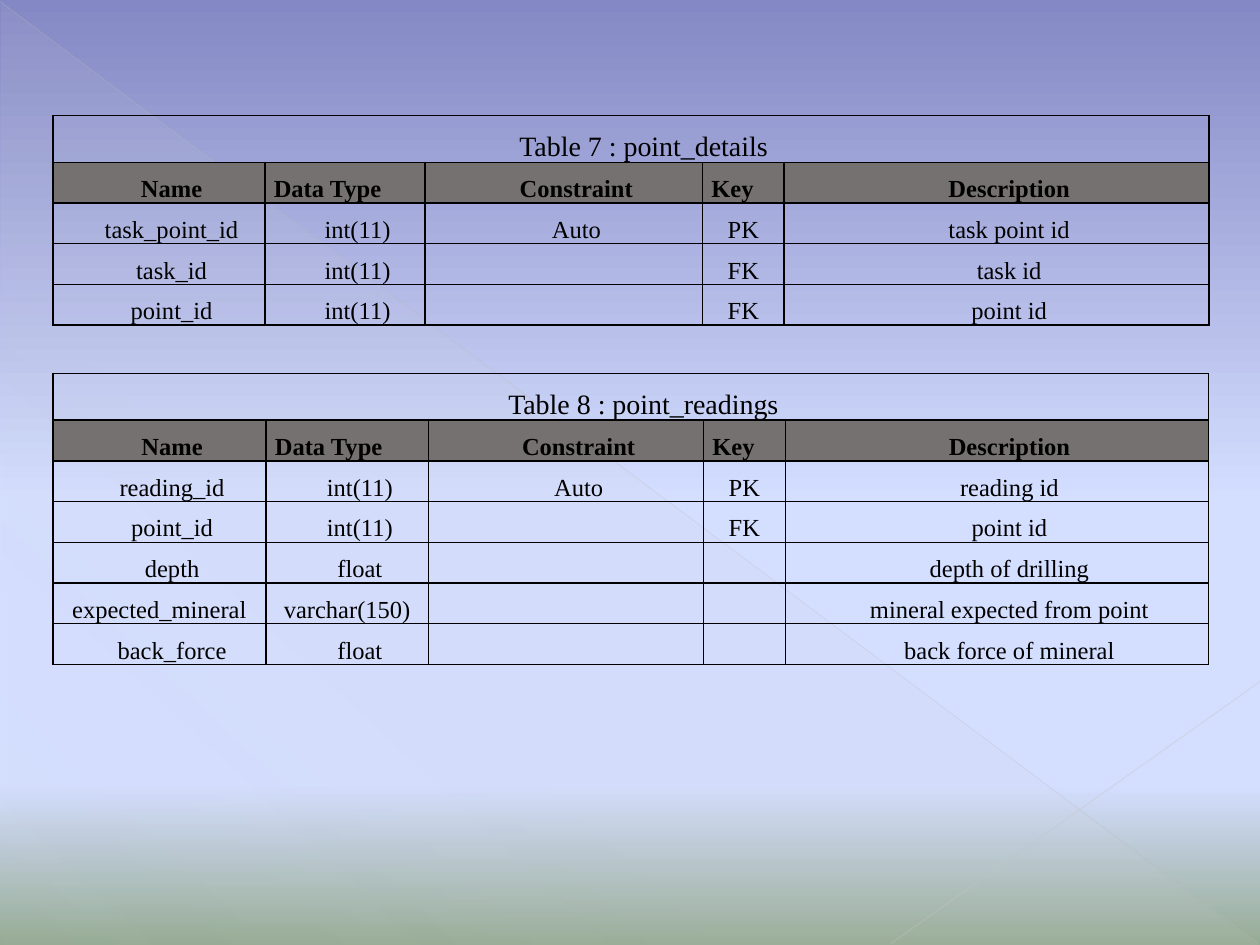
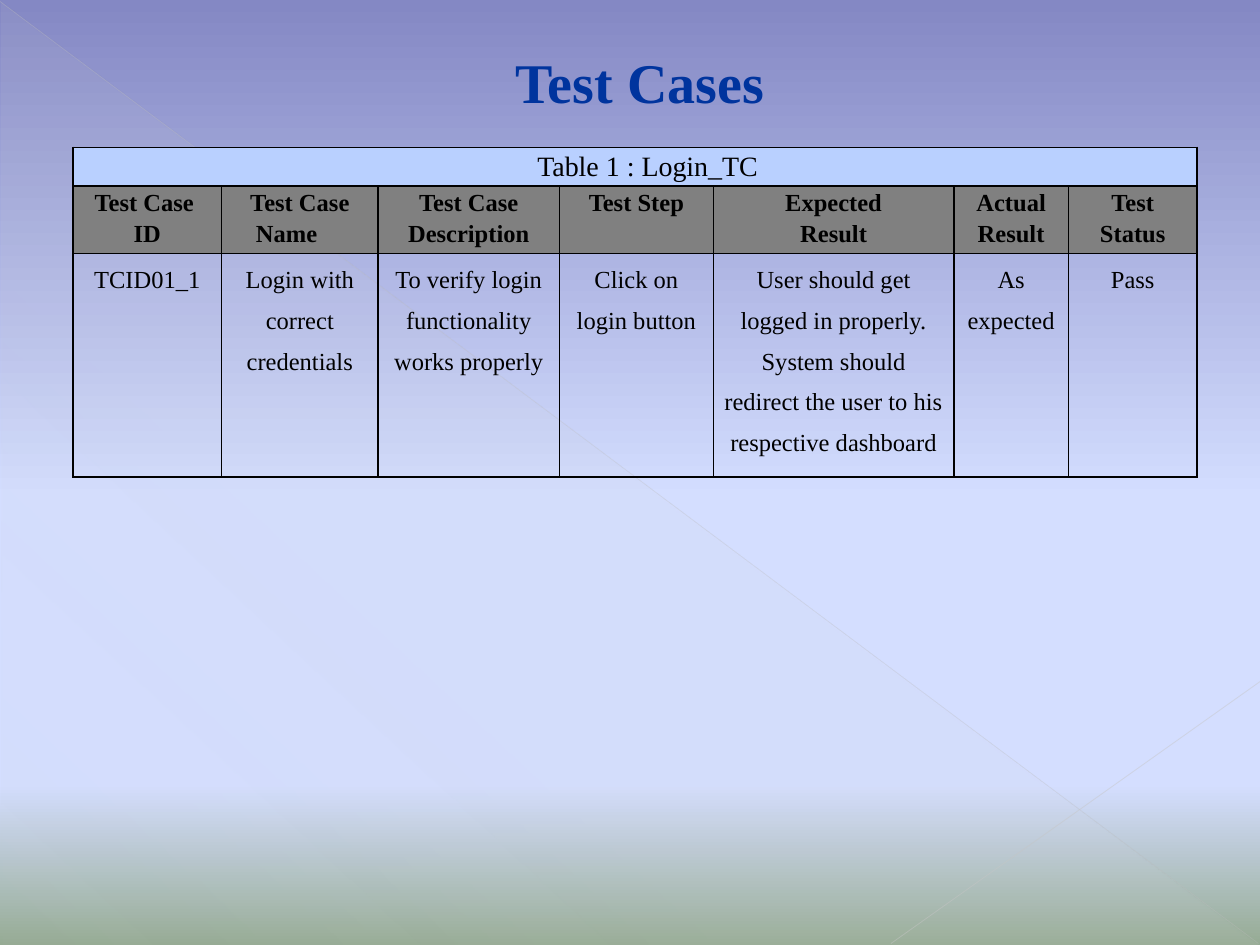
from lxml import etree
from pptx import Presentation
from pptx.dml.color import RGBColor
from pptx.enum.shapes import MSO_CONNECTOR, MSO_SHAPE
from pptx.enum.text import MSO_ANCHOR, PP_ALIGN
from pptx.oxml.ns import qn
from pptx.util import Cm, Pt

FONT = "Times New Roman"
BLACK, TITLE_BLUE = "000000", "00349E"
HEADER_GREY, TEST_HEADER_GREY, CAPTION_BLUE = "757171", "808080", "B9D0FF"
BACKDROP = [(0, "8488C4", 100), (53, "D4DEFF", 100), (83, "D4DEFF", 100), (100, "96AB94", 100)]
SHEEN = [(0, "D2D2D2", 10), (70, "D2D2D2", 8), (100, "D2D2D2", 1)]
CAPTION_PT, BODY_PT = 16, 14
FIRST_LINE = Cm(0.51)

FIELD_HEADS = ["Name", "Data Type", "Constraint", "Key", "Description"]
JUSTIFIED_HEADS = {"Data Type", "Key"}
# Short keys and the widest values have no first-line indent
FLUSH_VALUES = {"PK", "FK", "expected_mineral", "varchar(150)"}
POINT_DETAILS = [
    ["task_point_id", "int(11)", "Auto", "PK", "task point id"],
    ["task_id", "int(11)", "", "FK", "task id"],
    ["point_id", "int(11)", "", "FK", "point id"],
]
POINT_READINGS = [
    ["reading_id", "int(11)", "Auto", "PK", "reading id"],
    ["point_id", "int(11)", "", "FK", "point id"],
    ["depth", "float", "", "", "depth of drilling"],
    ["expected_mineral", "varchar(150)", "", "", "mineral expected from point"],
    ["back_force", "float", "", "", "back force of mineral"],
]
TEST_HEADS = ["Test Case \nID", "Test Case\nName", "Test Case Description", "Test Step",
              "Expected\nResult", "Actual\nResult", "Test Status"]
LOGIN_TEST = ["TCID01_1", "Login with correct credentials",
              "To verify login functionality works properly", "Click on login button",
              "User should get logged in properly. System should redirect the user "
              "to his respective dashboard", "As expected", "Pass"]


# --- Colour helpers ---
def rgb(value):
    return RGBColor.from_string(value)


def add_color(parent, value, opacity=100):
    color = etree.SubElement(parent, qn("a:srgbClr"), val=value)
    if opacity < 100:
        etree.SubElement(color, qn("a:alpha"), val=str(opacity * 1000))


def set_gradient(fill, holder, stops, angle):
    """Fill with any number of (position, colour, opacity) stops."""
    fill.gradient()
    gradient = holder.find(qn("a:gradFill"))
    for child in list(gradient):
        gradient.remove(child)
    stop_list = etree.SubElement(gradient, qn("a:gsLst"))
    for position, value, opacity in stops:
        stop = etree.SubElement(stop_list, qn("a:gs"), pos=str(position * 1000))
        add_color(stop, value, opacity)
    etree.SubElement(gradient, qn("a:lin"), ang=str(angle * 60000), scaled="0")


# --- Shared backdrop ---
def add_line(slide, ends, value, width, opacity):
    line = slide.shapes.add_connector(MSO_CONNECTOR.STRAIGHT, *(Cm(v) for v in ends))
    line.line.width = Pt(width)
    line.line.color.rgb = rgb(value)
    color = line._element.spPr.find(".//" + qn("a:srgbClr"))
    etree.SubElement(color, qn("a:alpha"), val=str(opacity * 1000))
    etree.SubElement(line._element.spPr, qn("a:effectLst"))


def add_slide(prs):
    slide = prs.slides.add_slide(prs.slide_layouts[6])
    fill = slide.background.fill
    set_gradient(fill, slide.element.find(".//" + qn("p:bgPr")), BACKDROP, 90)
    sheen = slide.shapes.add_shape(MSO_SHAPE.RIGHT_TRIANGLE, Cm(0.03), Cm(0.05), Cm(25.35), Cm(19))
    sheen.shadow.inherit = False
    sheen.line.fill.background()
    set_gradient(sheen.fill, sheen.element.spPr, SHEEN, 133)
    add_line(slide, (0, 0.03, 25.37, 19.02), "BFBFBF", 0.39, 35)
    add_line(slide, (25.4, 13.74, 17.96, 19.02), "C6C6C6", 0.47, 45)
    return slide


# --- Text and tables ---
def style_run(run, size, value=BLACK, bold=False):
    run.font.name = FONT
    run.font.size = Pt(size)
    run.font.bold = bold
    run.font.color.rgb = rgb(value)


def add_title(slide, text):
    box = slide.shapes.add_textbox(Cm(5.28), Cm(0.84), Cm(15.24), Cm(1.63))
    box.text_frame.word_wrap = True
    paragraph = box.text_frame.paragraphs[0]
    paragraph.alignment = PP_ALIGN.CENTER
    run = paragraph.add_run()
    run.text = text
    style_run(run, 32, TITLE_BLUE, True)


def set_borders(cell):
    properties = cell._tc.get_or_add_tcPr()
    for index, side in enumerate(("a:lnL", "a:lnR", "a:lnT", "a:lnB")):
        border = etree.Element(qn(side), w=str(Pt(1)))
        add_color(etree.SubElement(border, qn("a:solidFill")), BLACK)
        properties.insert(index, border)


def indent_first_line(paragraph):
    properties = paragraph._p.get_or_add_pPr()
    properties.set("marL", "0")
    properties.set("indent", str(FIRST_LINE))


def fill_cell(cell, text, size=BODY_PT, bold=False, fill=None, spacing=1.5,
              anchor=MSO_ANCHOR.TOP, align=PP_ALIGN.CENTER, indent=False):
    cell.margin_left = cell.margin_right = Cm(0.18)
    cell.margin_top = cell.margin_bottom = 0
    cell.vertical_anchor = anchor
    if fill:
        cell.fill.solid()
        cell.fill.fore_color.rgb = rgb(fill)
    else:
        cell.fill.background()
    set_borders(cell)
    cell.text = text
    for paragraph in cell.text_frame.paragraphs:
        paragraph.alignment = align
        paragraph.line_spacing = spacing
        if indent:
            indent_first_line(paragraph)
        for run in paragraph.runs:
            style_run(run, size, BLACK, bold)
        if not paragraph.runs:
            # Keeps an empty cell from stretching its row
            etree.SubElement(paragraph._p, qn("a:endParaRPr"), sz=str(size * 100))


def add_grid(slide, left, top, widths, heights):
    frame = slide.shapes.add_table(len(heights), len(widths), Cm(left), Cm(top),
                                   Cm(sum(widths)), Cm(sum(heights)))
    table = frame.table
    table.first_row = table.horz_banding = False
    for column, width in zip(table.columns, widths):
        column.width = Cm(width)
    for row, height in zip(table.rows, heights):
        row.height = Cm(height)
    return table


def add_caption(table, text, **style):
    for cell in table.rows[0].cells:
        fill_cell(cell, "", CAPTION_PT, **style)
    table.cell(0, 0).merge(table.cell(0, len(table.columns) - 1))
    paragraph = table.cell(0, 0).text_frame.paragraphs[0]
    run = paragraph.add_run()
    run.text = text
    style_run(run, CAPTION_PT)
    indent_first_line(paragraph)


def add_field_table(slide, top, widths, caption, records):
    """Caption, header and one row for each database field."""
    table = add_grid(slide, 1.07, top, widths, [0.76] * (len(records) + 2))
    middle = MSO_ANCHOR.MIDDLE
    add_caption(table, caption, anchor=middle)
    for cell, head in zip(table.rows[1].cells, FIELD_HEADS):
        justified = head in JUSTIFIED_HEADS
        fill_cell(cell, head, bold=True, fill=HEADER_GREY, anchor=middle, indent=not justified,
                  align=PP_ALIGN.JUSTIFY if justified else PP_ALIGN.CENTER)
    for row, record in enumerate(records, 2):
        for column, value in enumerate(record):
            fill_cell(table.cell(row, column), value, anchor=middle,
                      indent=value not in FLUSH_VALUES)


def add_test_table(slide):
    table = add_grid(slide, 1.47, 2.97, [3, 3.15, 3.66, 3.1, 4.85, 2.31, 2.59], [0.74, 1.3, 4.5])
    add_caption(table, "Table 1 : Login_TC", fill=CAPTION_BLUE, spacing=1.15)
    for column, (head, value) in enumerate(zip(TEST_HEADS, LOGIN_TEST)):
        fill_cell(table.cell(1, column), head, bold=True, fill=TEST_HEADER_GREY, spacing=1.15)
        fill_cell(table.cell(2, column), value)
    # The second line of "Test Case Name" is justified
    name = table.cell(1, 1).text_frame.paragraphs[1]
    name.alignment = PP_ALIGN.JUSTIFY
    indent_first_line(name)


def main():
    prs = Presentation()
    prs.slide_width, prs.slide_height = Cm(25.4), Cm(19.05)

    # Database tables
    slide = add_slide(prs)
    add_field_table(slide, 2.33, [4.27, 3.23, 5.59, 1.65, 8.56],
                    "Table 7 : point_details", POINT_DETAILS)
    add_field_table(slide, 7.53, [4.29, 3.28, 5.54, 1.65, 8.53],
                    "Table 8 : point_readings", POINT_READINGS)

    # Test cases
    slide = add_slide(prs)
    add_title(slide, "Test Cases")
    add_test_table(slide)

    prs.save("out.pptx")


main()
